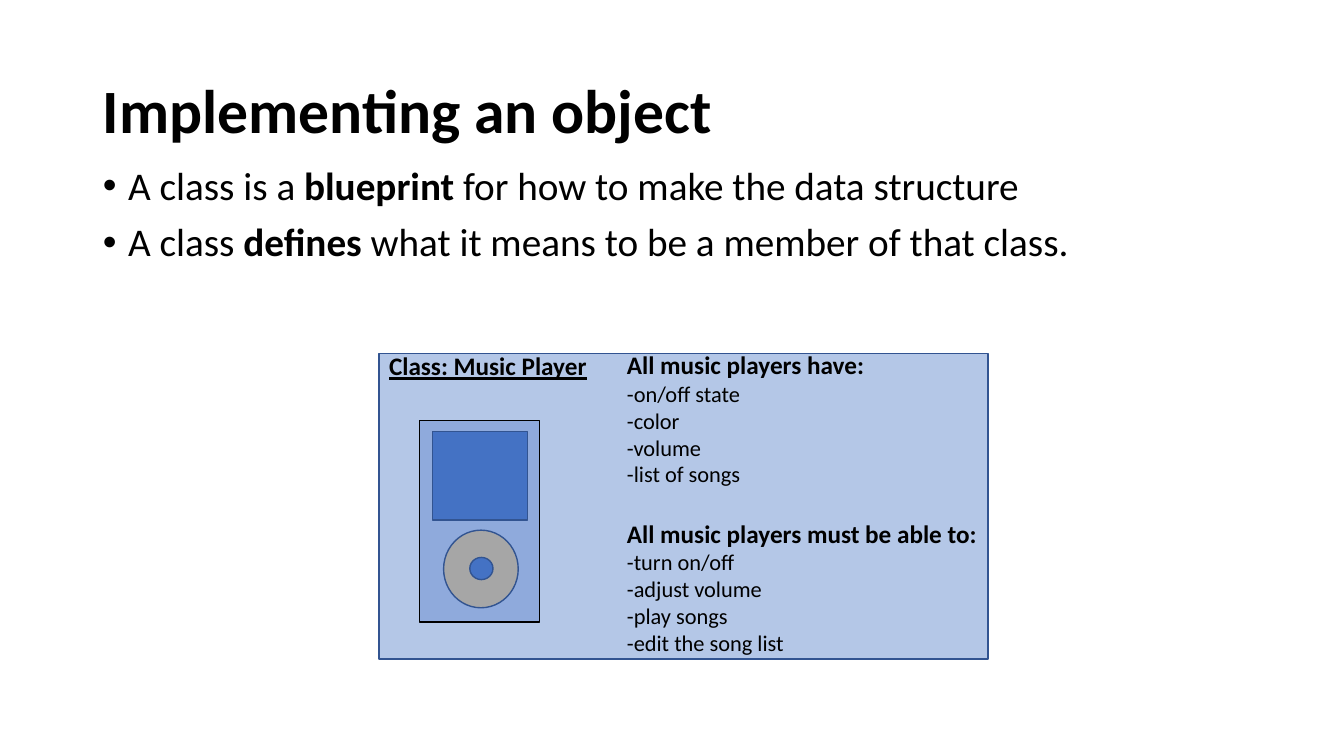
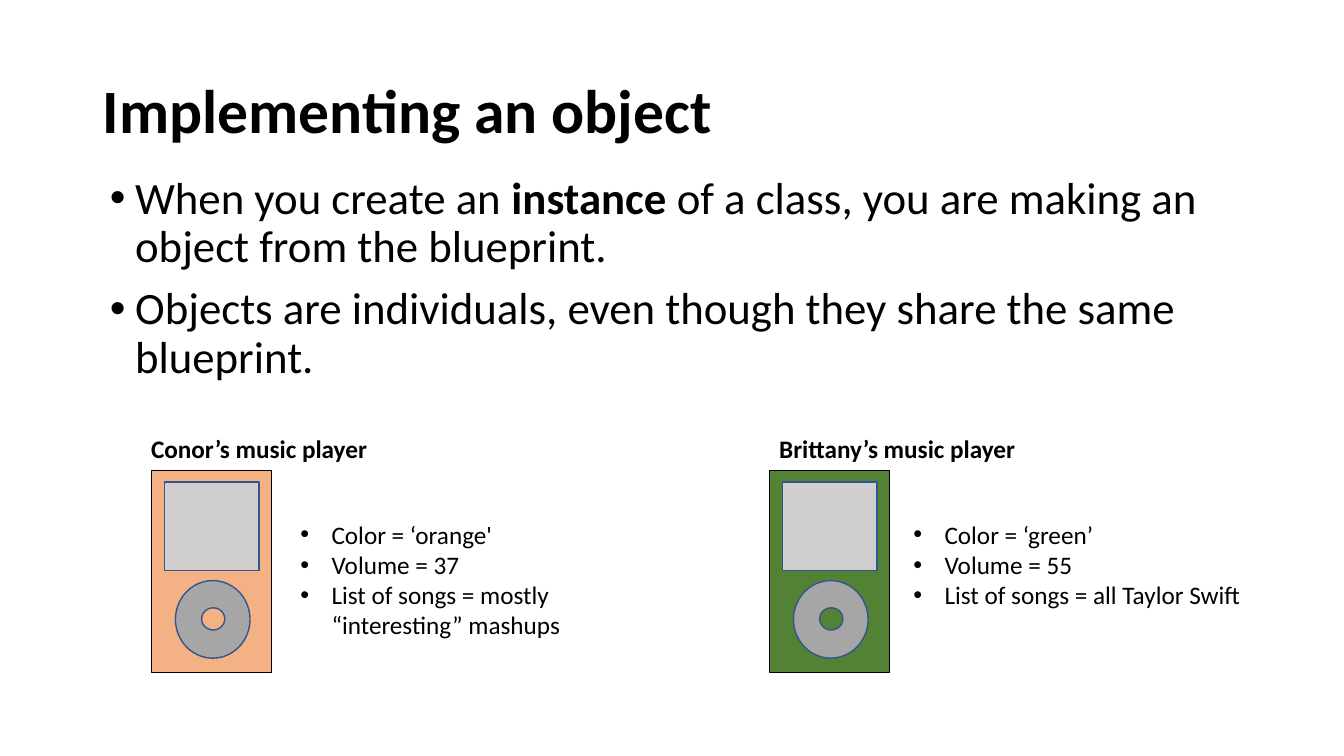
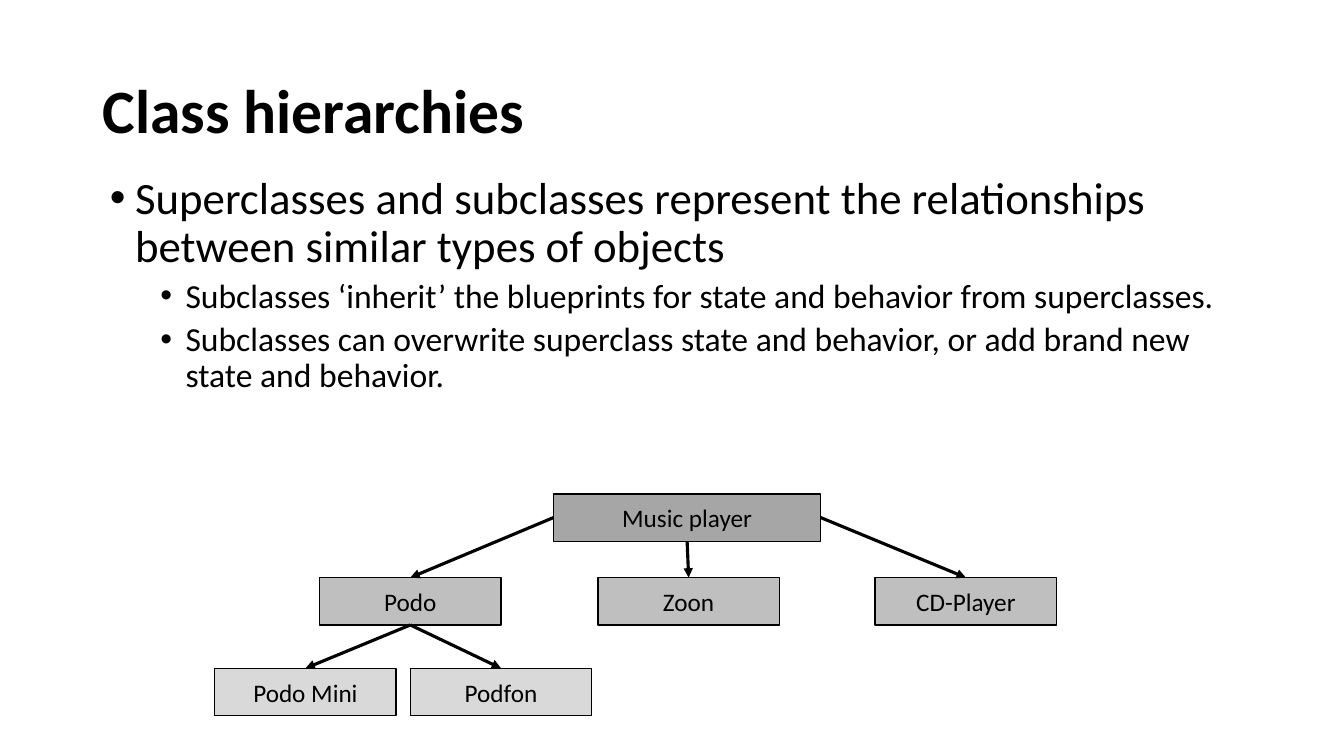
from lxml.etree import SubElement
from pptx import Presentation
from pptx.dml.color import RGBColor
from pptx.enum.shapes import MSO_CONNECTOR, MSO_SHAPE
from pptx.enum.text import MSO_ANCHOR, MSO_AUTO_SIZE, PP_ALIGN
from pptx.oxml.ns import qn
from pptx.util import Inches, Pt

COLORS = {
    "ink": "000000", "outline": "325491", "panel": "B4C7E7",
    "pale blue": "8FAADC", "blue": "4472C4", "orange": "F4B183",
    "green": "548235", "screen": "D0CECE", "wheel": "A6A6A6",
    "root": "A6A6A6", "branch": "BFBFBF", "leaf": "D9D9D9",
}
BULLET_PARA = {"line_spacing": 0.9, "space_before": Pt(10)}
# Each style: font formats, paragraph formats, (left margin, hanging) of a bullet
STYLES = {
    "title": ({"size": Pt(44), "bold": True},
              {"line_spacing": 0.9, "alignment": PP_ALIGN.LEFT}, None),
    "point": ({"size": Pt(32)}, BULLET_PARA, (0.25, 0.25)),
    "small point": ({"size": Pt(28)}, BULLET_PARA, (0.25, 0.25)),
    "subpoint": ({"size": Pt(24)},
                 {**BULLET_PARA, "level": 1, "space_before": Pt(5)}, (0.75, 0.25)),
    "class name": ({"size": Pt(18), "bold": True, "underline": True}, {}, None),
    "heading": ({"size": Pt(18), "bold": True}, {}, None),
    "next heading": ({"size": Pt(18), "bold": True}, {"space_before": Pt(22)}, None),
    "member": ({"size": Pt(16)}, {}, None),
    "value": ({"size": Pt(18)}, {}, (0.31, 0.31)),
    "node": ({"size": Pt(18)}, {"alignment": PP_ALIGN.CENTER}, None),
}


def write(frame, lines):
    """Fill a text frame with (style, text) lines; *stars* mark bold words."""
    frame.word_wrap = True
    for number, (style, text) in enumerate(lines):
        font_formats, para_formats, bullet = STYLES[style]
        para = frame.paragraphs[0] if number == 0 else frame.add_paragraph()
        for name, value in para_formats.items():
            setattr(para, name, value)
        if bullet:
            margin, hanging = bullet
            properties = para._p.get_or_add_pPr()
            properties.set("marL", str(Inches(margin)))
            properties.set("indent", str(-Inches(hanging)))
            SubElement(properties, qn("a:buFont"), typeface="Arial")
            SubElement(properties, qn("a:buChar"), char="•")
        for index, piece in enumerate(text.split("*")):
            span = para.add_run()
            span.text = piece
            formats = {"name": "Calibri", "bold": index % 2 == 1, **font_formats}
            for name, value in formats.items():
                setattr(span.font, name, value)
            span.font.color.rgb = RGBColor.from_string(COLORS["ink"])


def add_box(page, kind, place, fill, line):
    """Add a flat preset shape with a thin outline."""
    box = page.shapes.add_shape(kind, *map(Inches, place))
    box.shadow.inherit = False
    box.fill.solid()
    box.fill.fore_color.rgb = RGBColor.from_string(COLORS[fill])
    box.line.color.rgb = RGBColor.from_string(COLORS[line])
    box.line.width = Pt(1)
    return box


deck = Presentation()
deck.slide_width, deck.slide_height = Inches(13.33), Inches(7.5)

# Titles and lists
contents = [
    ("Implementing an object", (0.92, 1.6, 11.5, 2.15), [
        ("small point", "A class is a *blueprint* for how to make the data structure"),
        ("small point", "A class *defines* what it means to be a member of that class."),
    ]),
    ("Implementing an object", (0.99, 1.69, 11.5, 2.26), [
        ("point", "When you create an *instance *of a class, you are making an "
                  "object from the blueprint."),
        ("point", "Objects are individuals, even though they share the same blueprint."),
    ]),
    ("Class hierarchies", (0.99, 1.69, 11.5, 2.97), [
        ("point", "Superclasses and subclasses represent the relationships "
                  "between similar types of objects"),
        ("subpoint", "Subclasses ‘inherit’ the blueprints for state and behavior "
                     "from superclasses."),
        ("subpoint", "Subclasses can overwrite superclass state and behavior, "
                     "or add brand new state and behavior."),
    ]),
]
pages = []
for title, body_place, points in contents:
    page = deck.slides.add_slide(deck.slide_layouts[1])
    pages.append(page)
    parts = [
        (page.shapes.title, (0.92, 0.4, 11.5, 1.45), MSO_ANCHOR.MIDDLE, [("title", title)]),
        (page.placeholders[1], body_place, MSO_ANCHOR.TOP, points),
    ]
    for holder, place, anchor, lines in parts:
        holder.left, holder.top, holder.width, holder.height = map(Inches, place)
        holder.text_frame.auto_size = MSO_AUTO_SIZE.NONE
        holder.text_frame.vertical_anchor = anchor
        write(holder.text_frame, lines)
class_page, instance_page, hierarchy_page = pages

# Music players
add_box(class_page, MSO_SHAPE.RECTANGLE, (3.76, 3.51, 6.04, 3.03), "panel", "outline")
players = [
    (class_page, 4.16, 4.17, "pale blue", "blue", "blue"),
    (instance_page, 1.5, 4.67, "orange", "screen", "orange"),
    (instance_page, 7.63, 4.67, "green", "screen", "green"),
]
for page, left, top, case, screen, button in players:
    player_parts = [
        (MSO_SHAPE.RECTANGLE, 0, 0, 1.19, 2, case, "ink"),
        (MSO_SHAPE.RECTANGLE, 0.13, 0.11, 0.94, 0.88, screen, "outline"),
        (MSO_SHAPE.OVAL, 0.24, 1.09, 0.74, 0.77, "wheel", "outline"),
        (MSO_SHAPE.OVAL, 0.5, 1.36, 0.23, 0.22, button, "outline"),
    ]
    for kind, right, down, width, height, fill, line in player_parts:
        add_box(page, kind, (left + right, top + down, width, height), fill, line)

# Captions and property lists
notes = [
    (class_page, (3.76, 3.43, 2.59, 0.4), [("class name", "Class: Music Player")]),
    (class_page, (6.12, 3.42, 3.93, 3.2), [
        ("heading", "All music players have:"),
        ("member", "-on/off state"),
        ("member", "-color"),
        ("member", "-volume"),
        ("member", "-list of songs"),
        ("next heading", "All music players must be able to:"),
        ("member", "-turn on/off"),
        ("member", "-adjust volume"),
        ("member", "-play songs"),
        ("member", "-edit the song list"),
    ]),
    (instance_page, (1.4, 4.25, 3.74, 0.4), [("heading", "Conor’s music player")]),
    (instance_page, (2.88, 5.1, 3.79, 1.31), [
        ("value", "Color = ‘orange'"),
        ("value", "Volume = 37"),
        ("value", "List of songs = mostly “interesting” mashups"),
    ]),
    (instance_page, (7.63, 4.25, 3.74, 0.4), [("heading", "Brittany’s music player")]),
    (instance_page, (8.96, 5.1, 3.6, 1.01), [
        ("value", "Color = ‘green’"),
        ("value", "Volume = 55"),
        ("value", "List of songs = all Taylor Swift"),
    ]),
]
for page, place, lines in notes:
    note = page.shapes.add_textbox(*map(Inches, place))
    note.text_frame.auto_size = MSO_AUTO_SIZE.SHAPE_TO_FIT_TEXT
    write(note.text_frame, lines)

# Class tree
nodes = [
    ("Music player", 5.49, 4.9, 2.65, "root"),
    ("Podo", 3.17, 5.73, 1.8, "branch"),
    ("Zoon", 5.93, 5.73, 1.8, "branch"),
    ("CD-Player", 8.68, 5.73, 1.8, "branch"),
    ("Podo Mini", 2.13, 6.63, 1.8, "leaf"),
    ("Podfon", 4.07, 6.63, 1.8, "leaf"),
]
boxes = {}
for name, left, top, width, fill in nodes:
    box = add_box(hierarchy_page, MSO_SHAPE.RECTANGLE, (left, top, width, 0.47), fill, "ink")
    box.text_frame.vertical_anchor = MSO_ANCHOR.MIDDLE
    write(box.text_frame, [("node", name)])
    boxes[name] = box

TOP, LEFT, BOTTOM, RIGHT = range(4)
links = [
    ("Music player", LEFT, "Podo"),
    ("Music player", BOTTOM, "Zoon"),
    ("Music player", RIGHT, "CD-Player"),
    ("Podo", BOTTOM, "Podo Mini"),
    ("Podo", BOTTOM, "Podfon"),
]
for parent, side, child in links:
    arrow = hierarchy_page.shapes.add_connector(MSO_CONNECTOR.STRAIGHT, 0, 0, 0, 0)
    arrow.begin_connect(boxes[parent], side)
    arrow.end_connect(boxes[child], TOP)
    arrow.line.color.rgb = RGBColor.from_string(COLORS["ink"])
    arrow.line.width = Pt(2.25)
    SubElement(arrow.line._get_or_add_ln(), qn("a:tailEnd"), type="triangle")
    SubElement(arrow._element.spPr, qn("a:effectLst"))

deck.save("out.pptx")
